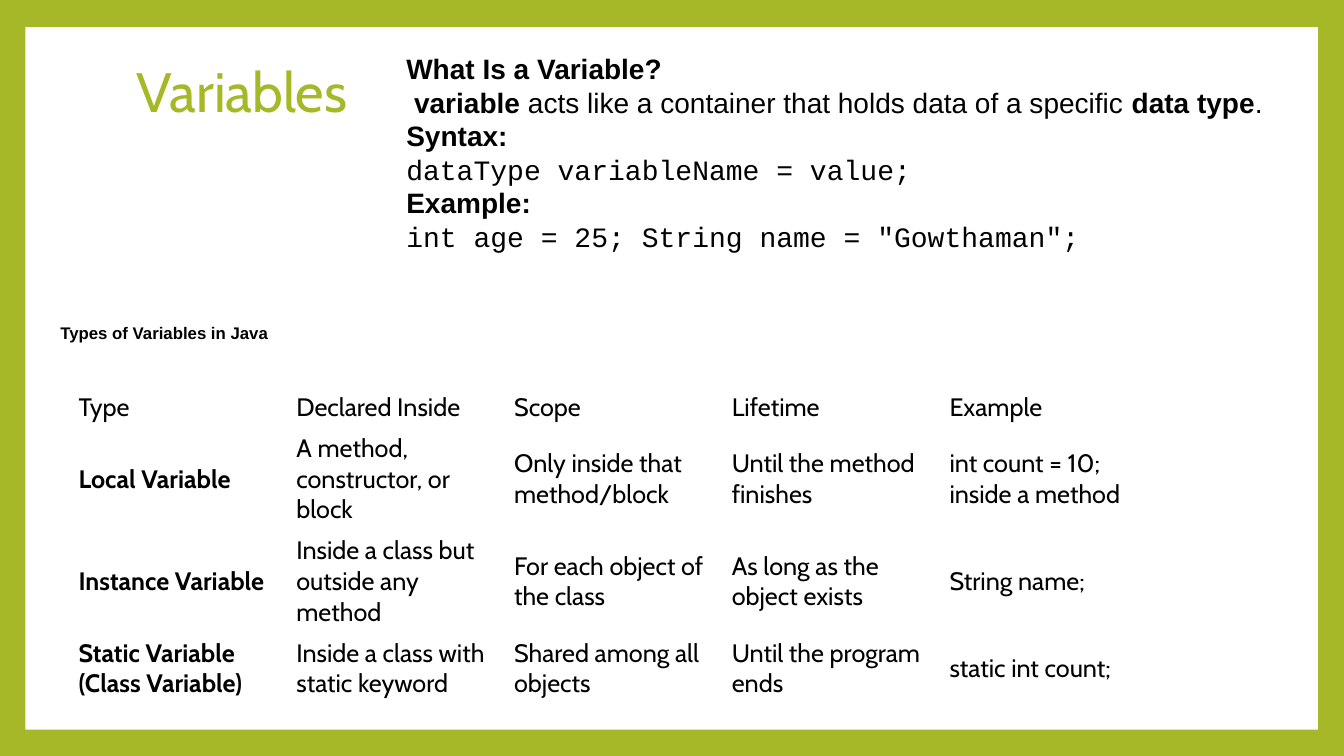
from pptx import Presentation
from pptx.dml.color import RGBColor
from pptx.enum.shapes import MSO_SHAPE
from pptx.enum.text import MSO_ANCHOR, MSO_AUTO_SIZE, PP_ALIGN
from pptx.oxml.ns import qn
from pptx.util import Inches, Pt

RECTANGLE = MSO_SHAPE.RECTANGLE
TOP, MIDDLE = MSO_ANCHOR.TOP, MSO_ANCHOR.MIDDLE
LEFT = PP_ALIGN.LEFT
NO_AUTOFIT = MSO_AUTO_SIZE.NONE

GREEN, WHITE, BLACK = "A6B727", "FFFFFF", "000000"
HEADING_FONT, TEXT_FONT, CODE_FONT = "Cabin", "Arial", "Courier New"

# Each line is a list of (text, bold, font) runs
DEFINITION = [
    [("What Is a Variable?", True, TEXT_FONT)],
    [(" ", False, TEXT_FONT),
     ("variable", True, TEXT_FONT),
     (" acts like a container that holds data of a specific ", False, TEXT_FONT),
     ("data type", True, TEXT_FONT),
     (".", False, TEXT_FONT)],
    [("Syntax:", True, TEXT_FONT)],
    [("dataType variableName = value;", False, CODE_FONT)],
    [("Example:", True, TEXT_FONT)],
    [('int age = 25; String name = "Gowthaman";', False, CODE_FONT)],
]

VARIABLE_TYPES = [
    ["Type", "Declared Inside", "Scope", "Lifetime", "Example"],
    ["Local Variable", "A method, constructor, or block",
     "Only inside that method/block", "Until the method finishes",
     "int count = 10; inside a method"],
    ["Instance Variable", "Inside a class but outside any method",
     "For each object of the class", "As long as the object exists",
     "String name;"],
    ["Static Variable (Class Variable)", "Inside a class with static keyword",
     "Shared among all objects", "Until the program ends",
     "static int count;"],
]
ROW_HEIGHTS = [5.33, 13.33, 13.33, 9.33]


def color(hex_value):
    return RGBColor.from_string(hex_value)


class SlideBuilder:
    """Places elements by percentages of the slide's width and height."""

    def __init__(self, presentation):
        self.width = presentation.slide_width
        self.height = presentation.slide_height
        self.slide = presentation.slides.add_slide(presentation.slide_layouts[1])

    def across(self, percent):
        return round(self.width * percent / 100)

    def down(self, percent):
        return round(self.height * percent / 100)

    def box(self, left, top, width, height):
        return (self.across(left), self.down(top),
                self.across(width), self.down(height))

    def background(self, fill):
        self.slide.background.fill.solid()
        self.slide.background.fill.fore_color.rgb = color(fill)

    def panel(self, area, fill):
        shape = self.slide.shapes.add_shape(RECTANGLE, *self.box(*area))
        shape.shadow.inherit = False
        shape.fill.solid()
        shape.fill.fore_color.rgb = color(fill)
        shape.line.fill.background()
        # Keep the panel behind the placeholders
        self.slide.shapes.title.element.addprevious(shape.element)

    def add_lines(self, frame, lines, size, text_color=BLACK, spacing=1.0):
        for index, line in enumerate(lines):
            paragraph = frame.paragraphs[0] if index == 0 else frame.add_paragraph()
            paragraph.alignment = LEFT
            paragraph.line_spacing = spacing
            paragraph.space_before = Pt(0)
            for text, bold, font in line:
                run = paragraph.add_run()
                run.text = text
                run.font.name = font
                run.font.size = Pt(size)
                run.font.bold = bold
                run.font.color.rgb = color(text_color)

    def place(self, shape, area, anchor, wrap):
        shape.left, shape.top, shape.width, shape.height = self.box(*area)
        frame = shape.text_frame
        frame.auto_size = NO_AUTOFIT
        frame.word_wrap = wrap
        frame.vertical_anchor = anchor
        return frame

    def title(self, text, area):
        frame = self.place(self.slide.shapes.title, area, MIDDLE, True)
        self.add_lines(frame, [[(text, False, HEADING_FONT)]], 39.6, GREEN, 0.9)

    def body(self, lines, area):
        frame = self.place(self.slide.placeholders[1], area, TOP, False)
        self.add_lines(frame, lines, 20)
        for paragraph in frame.paragraphs:
            properties = paragraph._p.get_or_add_pPr()
            properties.set("marL", "0")
            properties.set("indent", "0")
            properties.append(properties.makeelement(qn("a:buNone"), {}))

    def caption(self, text, area):
        shape = self.slide.shapes.add_textbox(*self.box(*area))
        frame = self.place(shape, area, TOP, False)
        self.add_lines(frame, [[(text, True, TEXT_FONT)]], 12)

    def table(self, rows, area, row_heights):
        columns = len(rows[0])
        table = self.slide.shapes.add_table(
            len(rows), columns, *self.box(*area)).table
        table.first_row = False
        table.horz_banding = False
        for column in table.columns:
            column.width = self.across(area[2] / columns)
        for row_index, (texts, height) in enumerate(zip(rows, row_heights)):
            table.rows[row_index].height = self.down(height)
            for column_index, text in enumerate(texts):
                cell = table.cell(row_index, column_index)
                cell.fill.background()
                cell.vertical_anchor = MIDDLE
                bold = row_index > 0 and column_index == 0
                self.add_lines(cell.text_frame, [[(text, bold, HEADING_FONT)]], 18)


def main():
    presentation = Presentation()
    presentation.slide_width = Inches(13.33)
    presentation.slide_height = Inches(7.5)
    builder = SlideBuilder(presentation)

    # Green frame around a white panel
    builder.background(GREEN)
    builder.panel((1.88, 3.6, 96.17, 92.93), WHITE)

    # Title and definition
    builder.title("Variables", (9.38, 8.93, 17.85, 7.2))
    builder.body(DEFINITION, (29.48, 6.13, 65.64, 37.2))

    # Table of variable types
    builder.table(VARIABLE_TYPES, (5.1, 51.2, 81, sum(ROW_HEIGHTS)), ROW_HEIGHTS)
    builder.caption("Types of Variables in Java", (3.75, 42, 17.4, 8.13))

    presentation.save("out.pptx")


if __name__ == "__main__":
    main()
